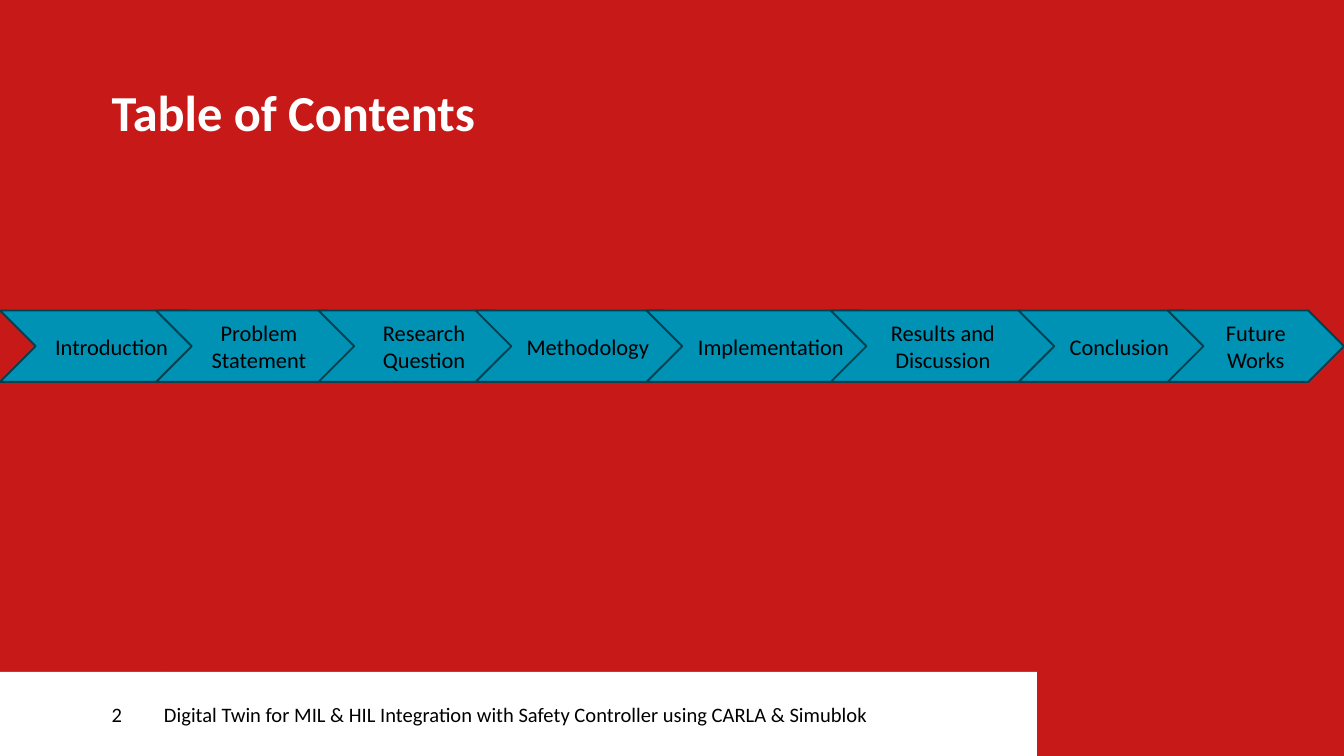
import pptx
import pptx.dml.color
import pptx.enum.shapes
import pptx.enum.text
import pptx.util
from pptx.util import Cm

COLORS = {
    "background": "C81919",
    "title": "FFFFFF",
    "step": "0092B5",
    "step_line": "00404F",
    "footer": "FFFFFF",
    "text": "000000",
}
FONT = "Calibri"

# Step name, left edge and width in cm
STEPS = [
    ("Introduction", 0, 4.22),
    ("Problem Statement", 2.95, 3.89),
    ("Research Question", 6.02, 3.99),
    ("Methodology", 8.99, 4.24),
    ("Implementation", 12.22, 4.7),
    ("Results and Discussion", 15.7, 4.24),
    ("Conclusion", 19.25, 3.81),
    ("Future Works", 22.07, 3.33),
]


def rgb(name):
    return pptx.dml.color.RGBColor.from_string(COLORS[name])


def write(frame, text, size, color, align, side_insets, bold=False):
    frame.text = text
    frame.word_wrap = True
    frame.auto_size = pptx.enum.text.MSO_AUTO_SIZE.NONE
    frame.vertical_anchor = pptx.enum.text.MSO_ANCHOR.MIDDLE
    frame.margin_left, frame.margin_right = side_insets
    frame.margin_top = frame.margin_bottom = 0
    paragraph = frame.paragraphs[0]
    paragraph.alignment = align
    for run in paragraph.runs:
        run.font.name = FONT
        run.font.size = pptx.util.Pt(size)
        run.font.bold = bold
        run.font.color.rgb = rgb(color)
    return paragraph


def add_block(slide, kind, left, top, width, height, fill):
    block = slide.shapes.add_shape(kind, left, top, width, height)
    block.shadow.inherit = False
    block.fill.solid()
    block.fill.fore_color.rgb = rgb(fill)
    block.line.fill.background()
    return block


def place_title(slide, left, top, width, height):
    heading = slide.shapes.title
    heading.left, heading.top = left, top
    heading.width, heading.height = width, height
    paragraph = write(heading.text_frame, "Table of Contents", 27, "title",
                      pptx.enum.text.PP_ALIGN.LEFT, (0, 0), bold=True)
    paragraph.line_spacing = pptx.util.Pt(27)


def place_footer(slide, left, top, width, height):
    number_width = Cm(3.1)
    parts = [
        ("Digital Twin for MIL & HIL Integration with Safety Controller "
         "using CARLA & Simublok", left + number_width, width - number_width, 0),
        ("2", left, number_width, Cm(2.11)),
    ]
    for text, part_left, part_width, inset in parts:
        part = add_block(slide, pptx.enum.shapes.MSO_SHAPE.RECTANGLE,
                         part_left, top, part_width, height, "footer")
        paragraph = write(part.text_frame, text, 11, "text",
                          pptx.enum.text.PP_ALIGN.LEFT, (inset, 0))
        paragraph.space_after = pptx.util.Pt(6)


def place_steps(slide, left, top, height):
    for name, offset, width in STEPS:
        step = add_block(slide, pptx.enum.shapes.MSO_SHAPE.CHEVRON,
                         left + Cm(offset), top, Cm(width), height, "step")
        step.line.color.rgb = rgb("step_line")
        step.line.width = pptx.util.Pt(1)
        write(step.text_frame, name, 12, "text",
              pptx.enum.text.PP_ALIGN.CENTER, (Cm(0.2), Cm(0.2)))


def main():
    deck = pptx.Presentation()
    deck.slide_width, deck.slide_height = Cm(25.4), Cm(14.29)
    slide = deck.slides.add_slide(deck.slide_layouts[5])
    slide.background.fill.solid()
    slide.background.fill.fore_color.rgb = rgb("background")

    # Title
    place_title(slide, Cm(2.11), Cm(1.45), Cm(20.98), Cm(1.5))
    # Footer with slide number
    place_footer(slide, 0, Cm(12.7), Cm(19.6), Cm(1.59))
    # Chain of chapters
    place_steps(slide, 0, Cm(5.87), Cm(1.35))

    deck.save("out.pptx")


if __name__ == "__main__":
    main()
